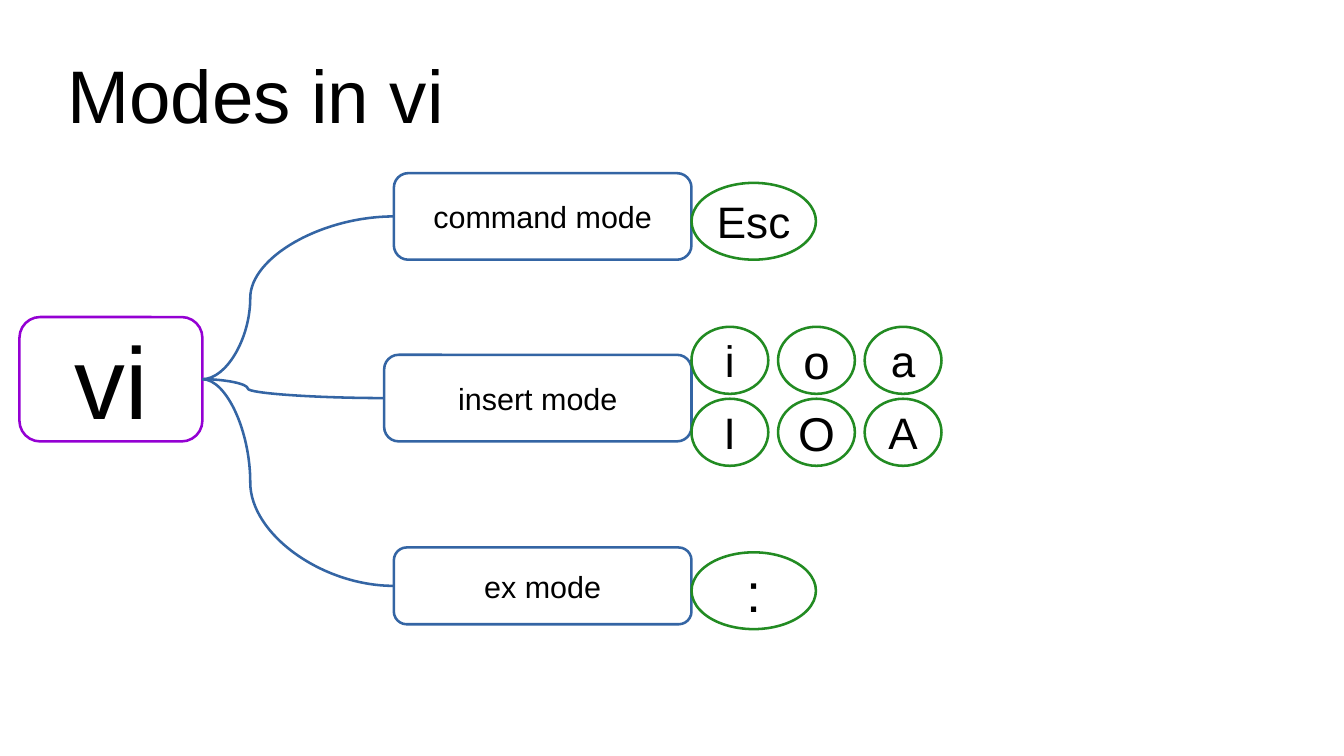
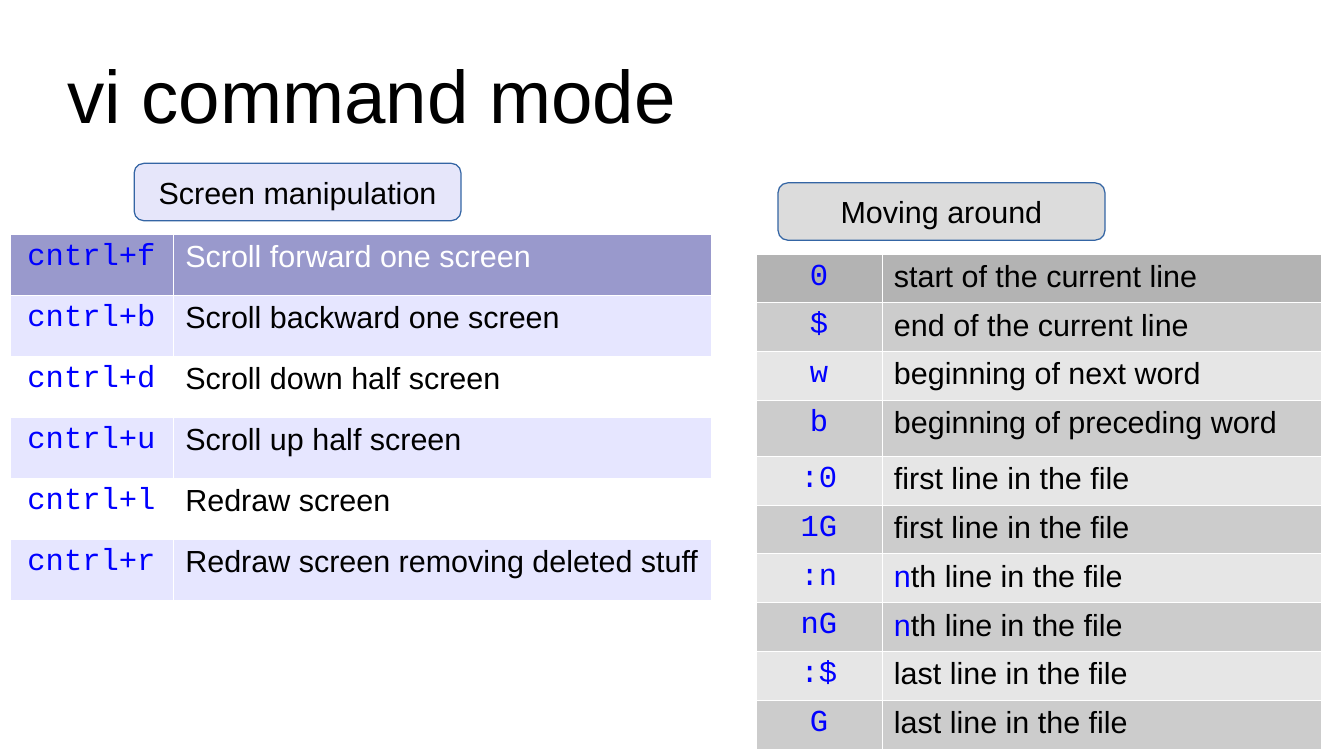
from lxml import etree
from pptx import Presentation
from pptx.dml.color import RGBColor
from pptx.enum.shapes import MSO_CONNECTOR, MSO_SHAPE
from pptx.enum.text import MSO_ANCHOR, MSO_AUTO_SIZE, PP_ALIGN
from pptx.oxml.ns import qn
from pptx.util import Inches, Pt

CURVE = MSO_CONNECTOR.CURVE
ROUND, OVAL = MSO_SHAPE.ROUNDED_RECTANGLE, MSO_SHAPE.OVAL
MIDDLE, CENTER, LEFT = MSO_ANCHOR.MIDDLE, PP_ALIGN.CENTER, PP_ALIGN.LEFT
NO_FIT = MSO_AUTO_SIZE.NONE

# Shared look
COLORS = {
    "black": "000000", "white": "FFFFFF", "key": "0000FF",
    "root": "9400D3", "mode": "3465A4", "press": "228B22",
    "lilac": "E6E6FA", "silver": "DCDCDC",
    "violet": "9999CC", "pale": "E6E6FF",
    "gray": "B3B3B3", "mid": "CCCCCC", "light": "E6E6E6",
}
SANS, MONO = "Arial", "Courier New"
BODY = 18
TITLE_BOX = (0.55, 0.25, 9.92, 1.04)

# Slide 1: box and text of each mode, then its keys
ROOT = ("vi", (0.16, 2.6, 1.5, 1.02))
MODES = [
    ("command mode", (3.23, 1.42, 2.44, 0.71)),
    ("insert mode", (3.15, 2.91, 2.52, 0.71)),
    ("ex mode", (3.23, 4.49, 2.44, 0.63)),
]
KEYS_X = 5.67
WIDE_KEYS = [("Esc", 1.5, 26), (":", 4.53, 32)]
KEY_GRID = ["ioa", "IOA"]
KEY_SIZES = (26, 28, 26)
GRID_TOP, STEP_X, STEP_Y = 2.68, 0.71, 0.59

# Slide 2: rows are key, optional blue lead, meaning
TABLES = [
    {
        "label": "Moving around", "tint": "silver", "place": (6.38, 1.5),
        "at": (6.2, 2.08), "cols": (1.03, 3.6), "row": 0.4, "tall": {3: 0.46},
        "head": ("gray", "black"), "bands": ("mid", "light"),
        "rows": [
            ("0", "start of the current line"),
            ("$", "end of the current line"),
            ("w", "beginning of next word"),
            ("b", "beginning of preceding word"),
            (":0", "first line in the file"),
            ("1G", "first line in the file"),
            (":n", "n", "th line in the file"),
            ("nG", "n", "th line in the file"),
            (":$", "last line in the file"),
            ("G", "last line in the file"),
        ],
    },
    {
        "label": "Screen manipulation", "tint": "lilac", "place": (1.1, 1.34),
        "at": (0.08, 1.92), "cols": (1.34, 4.41), "row": 0.5, "tall": {},
        "head": ("violet", "white"), "bands": ("pale", "white"),
        "rows": [
            ("cntrl+f", "Scroll forward one screen"),
            ("cntrl+b", "Scroll backward one screen"),
            ("cntrl+d", "Scroll down half screen"),
            ("cntrl+u", "Scroll up half screen"),
            ("cntrl+l", "Redraw screen"),
            ("cntrl+r", "Redraw screen removing deleted stuff"),
        ],
    },
]


def rgb(name):
    return RGBColor.from_string(COLORS[name])


def inches(box):
    return [Inches(v) for v in box]


def put(shape, values):
    for name, value in values.items():
        setattr(shape, name, value)


def write(frame, runs, align=LEFT):
    """Each run is text, size, colour, font."""
    para = frame.paragraphs[0]
    para.alignment = align
    for text, size, color, face in runs:
        run = para.add_run()
        run.text = text
        put(run.font, {"size": Pt(size), "name": face})
        run.font.color.rgb = rgb(color)


def add_page(deck, title):
    page = deck.slides.add_slide(deck.slide_layouts[5])
    head = page.shapes.title
    put(head, dict(zip(("left", "top", "width", "height"), inches(TITLE_BOX))))
    put(head.text_frame, {
        "margin_left": 0, "margin_right": 0, "margin_top": 0,
        "margin_bottom": 0, "vertical_anchor": MIDDLE, "auto_size": NO_FIT,
    })
    write(head.text_frame, [(title, 44, "black", SANS)])
    return page


def add_box(page, kind, box, text, size, edge, fill=None, width=1.5):
    shape = page.shapes.add_shape(kind, *inches(box))
    shape.shadow.inherit = False
    if fill:
        shape.fill.solid()
        shape.fill.fore_color.rgb = rgb(fill)
    else:
        shape.fill.background()
    shape.line.color.rgb = rgb(edge)
    shape.line.width = Pt(width)
    put(shape.text_frame, {"word_wrap": False, "vertical_anchor": MIDDLE})
    write(shape.text_frame, [(text, size, "black", SANS)], CENTER)
    return shape


def link(page, start, end):
    curve = page.shapes.add_connector(CURVE, 0, 0, 0, 0)
    curve.begin_connect(start, 3)
    curve.end_connect(end, 1)
    curve.line.color.rgb = rgb("mode")
    curve.line.width = Pt(1.5)
    props = curve._element.spPr
    etree.SubElement(props, qn("a:effectLst"))
    bends = props.find(qn("a:prstGeom")).get_or_add_avLst()
    etree.SubElement(bends, qn("a:gd"), name="adj1", fmla="val 25000")


def edge_cell(cell):
    props = cell._tc.get_or_add_tcPr()
    for spot, side in enumerate(("lnL", "lnR", "lnT", "lnB")):
        line = etree.Element(qn("a:" + side), w="720")
        fill = etree.SubElement(line, qn("a:solidFill"))
        etree.SubElement(fill, qn("a:srgbClr"), val=COLORS["white"])
        props.insert(spot, line)


def add_grid(page, data):
    rows, cols = data["rows"], data["cols"]
    highs = [data["tall"].get(i, data["row"]) for i in range(len(rows))]
    frame = page.shapes.add_table(
        len(rows), len(cols), *inches((*data["at"], sum(cols), sum(highs))))
    table = frame.table
    put(table, {"first_row": False, "horz_banding": False})
    for col, wide in zip(table.columns, cols):
        col.width = Inches(wide)
    for i, (key, *lead, text) in enumerate(rows):
        table.rows[i].height = Inches(highs[i])
        fill, ink = data["head"] if i == 0 else (data["bands"][(i - 1) % 2], "black")
        meaning = [(part, BODY, "key", SANS) for part in lead]
        meaning.append((text, BODY, ink, SANS))
        sides = [([(key, BODY, "key", MONO)], CENTER), (meaning, LEFT)]
        for j, (runs, align) in enumerate(sides):
            cell = table.cell(i, j)
            cell.fill.solid()
            cell.fill.fore_color.rgb = rgb(fill)
            edge_cell(cell)
            write(cell.text_frame, runs, align)


def draw_modes(deck):
    page = add_page(deck, "Modes in vi")
    text, box = ROOT
    root = add_box(page, ROUND, box, text, 60, "root")
    for text, box in MODES:
        link(page, root, add_box(page, ROUND, box, text, BODY, "mode"))
    for text, top, size in WIDE_KEYS:
        add_box(page, OVAL, (KEYS_X, top, 1.02, 0.63), text, size, "press")
    for i, line in enumerate(KEY_GRID):
        for j, text in enumerate(line):
            box = (KEYS_X + j * STEP_X, GRID_TOP + i * STEP_Y, 0.63, 0.55)
            add_box(page, OVAL, box, text, KEY_SIZES[j], "press")


def draw_commands(deck):
    page = add_page(deck, "vi command mode")
    for data in TABLES:
        add_box(page, ROUND, (*data["place"], 2.68, 0.47), data["label"],
                BODY, "mode", data["tint"], 0)
        add_grid(page, data)


def main():
    deck = Presentation()
    put(deck, {"slide_width": Inches(11.02), "slide_height": Inches(6.2)})
    draw_modes(deck)
    draw_commands(deck)
    deck.save("out.pptx")


if __name__ == "__main__":
    main()
